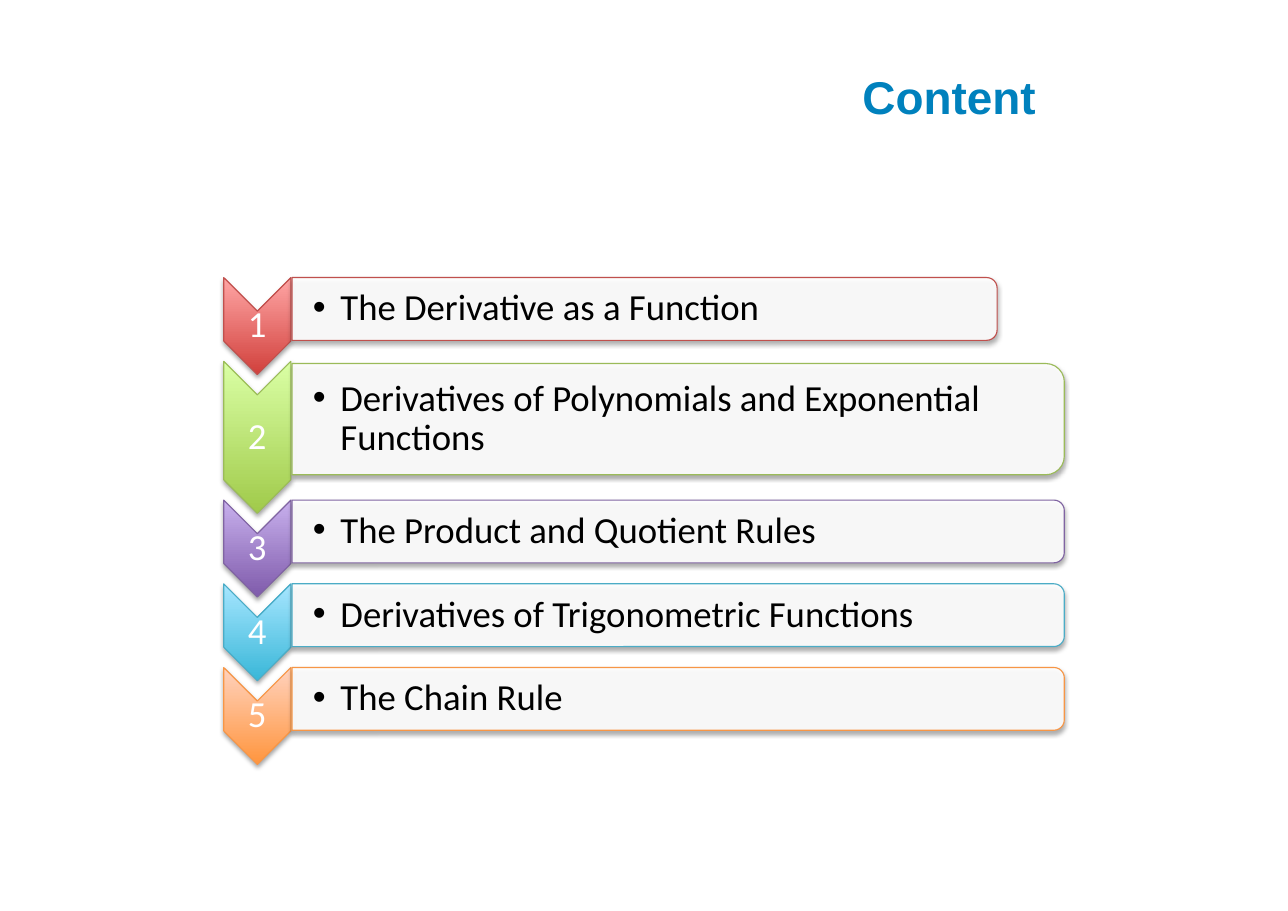
from dataclasses import dataclass

from lxml import etree
from pptx import Presentation
from pptx.dml.color import RGBColor
from pptx.enum.shapes import MSO_SHAPE
from pptx.enum.text import MSO_ANCHOR, PP_ALIGN
from pptx.oxml.ns import qn
from pptx.shapes.autoshape import Shape
from pptx.slide import Slide
from pptx.text.text import _Paragraph
from pptx.util import Pt

EMU_PER_PX = 9144  # 100 px to the inch
CHEVRON = MSO_SHAPE.CHEVRON
ROUNDED_BAR = MSO_SHAPE.ROUND_2_SAME_RECTANGLE
MIDDLE = MSO_ANCHOR.MIDDLE
LEFT, CENTER, RIGHT = PP_ALIGN.LEFT, PP_ALIGN.CENTER, PP_ALIGN.RIGHT

# Layout in px
SLIDE_WIDTH, SLIDE_HEIGHT = 1169, 827
LIST_TOP = 252
CHEVRON_LEFT, CHEVRON_WIDTH = 203, 61
CHEVRON_OVERLAP = 12
LABEL_INSET = 31
BAR_LEFT = CHEVRON_LEFT + CHEVRON_WIDTH + 1
BULLET_INDENT = 25


@dataclass(frozen=True)
class Theme:
    title_font: str = "Arial"
    body_font: str = "Calibri"
    title_size: int = 30
    body_size: int = 24
    line_width: float = 0.75
    title: str = "0081BD"
    text: str = "000000"
    label: str = "FFFFFF"
    bar: str = "FFFFFF"
    shadow: str = "000000"


@dataclass(frozen=True)
class Box:
    left: int
    top: int
    width: int
    height: int


@dataclass(frozen=True)
class Topic:
    text: str
    dark: str
    light: str
    line: str
    chevron_height: int = 88
    bar_offset: int = 0
    bar_width: int = 701
    bar_height: int = 57


THEME = Theme()
TOPICS = (
    Topic("The Derivative as a Function", "D1403C", "FFA6A5", "C0504D", bar_width=640),
    Topic("Derivatives of Polynomials and Exponential Functions",
          "A0CA4A", "DAFFA5", "9BBB59",
          chevron_height=138, bar_offset=2, bar_height=101),
    Topic("The Product and Quotient Rules", "7F5BAB", "C8B0ED", "8064A2"),
    Topic("Derivatives of Trigonometric Functions", "39B7D8", "A7E6FF", "4BACC6"),
    Topic("The Chain Rule", "FF953E", "FFD2BD", "F79646"),
)


def px(length: float) -> int:
    return round(length * EMU_PER_PX)


def rgb(color: str) -> RGBColor:
    return RGBColor.from_string(color)


def add_alpha(color_element: etree._Element, percent: int) -> None:
    etree.SubElement(color_element, qn("a:alpha"), val=str(percent * 1000))


def add_shadow(shape: Shape) -> None:
    shape.shadow.inherit = False
    effects = shape._element.spPr.find(qn("a:effectLst"))
    shadow = etree.SubElement(
        effects, qn("a:outerShdw"), blurRad=str(Pt(3.1)), dist=str(Pt(1.8)),
        dir="5400000", rotWithShape="0")
    add_alpha(etree.SubElement(shadow, qn("a:srgbClr"), val=THEME.shadow), 35)


def add_turned_shape(slide: Slide, kind: MSO_SHAPE, box: Box, line: str) -> Shape:
    """Add a shape turned by 90 degrees that covers the box once turned."""
    left = box.left + (box.width - box.height) / 2
    top = box.top + (box.height - box.width) / 2
    shape = slide.shapes.add_shape(
        kind, px(left), px(top), px(box.height), px(box.width))
    shape.rotation = 90
    shape.line.color.rgb = rgb(line)
    shape.line.width = Pt(THEME.line_width)
    add_shadow(shape)
    return shape


def add_text(slide: Slide, box: Box, text: str, font: str, size: int, color: str,
             align: PP_ALIGN, left_inset: int = 2, inset: int = 2,
             bold: bool = False) -> _Paragraph:
    text_box = slide.shapes.add_textbox(
        px(box.left), px(box.top), px(box.width), px(box.height))
    frame = text_box.text_frame
    frame.word_wrap = True
    frame.vertical_anchor = MIDDLE
    frame.margin_left = px(left_inset)
    frame.margin_right = frame.margin_top = frame.margin_bottom = px(inset)
    paragraph = frame.paragraphs[0]
    paragraph.alignment = align
    run = paragraph.add_run()
    run.text = text
    run.font.name = font
    run.font.size = Pt(size)
    run.font.bold = bold
    run.font.color.rgb = rgb(color)
    return paragraph


def add_bullet(paragraph: _Paragraph) -> None:
    properties = paragraph._p.get_or_add_pPr()
    properties.set("marL", str(px(BULLET_INDENT)))
    properties.set("indent", str(px(-BULLET_INDENT)))
    etree.SubElement(properties, qn("a:buFont"), typeface=THEME.title_font)
    etree.SubElement(properties, qn("a:buChar"), char="•")


def add_topic(slide: Slide, number: int, topic: Topic, top: int) -> None:
    # Numbered chevron
    chevron_box = Box(CHEVRON_LEFT, top, CHEVRON_WIDTH, topic.chevron_height)
    chevron = add_turned_shape(slide, CHEVRON, chevron_box, topic.line)
    chevron.fill.gradient()
    chevron.fill.gradient_angle = 90
    for stop, color in zip(chevron.fill.gradient_stops, (topic.dark, topic.light)):
        stop.color.rgb = rgb(color)
    chevron._element.spPr.find(qn("a:gradFill")).set("rotWithShape", "0")
    label_box = Box(CHEVRON_LEFT, top + LABEL_INSET, CHEVRON_WIDTH,
                    topic.chevron_height - 2 * LABEL_INSET)
    label = add_text(slide, label_box, str(number), THEME.body_font,
                     THEME.body_size, THEME.label, CENTER)
    label.line_spacing = 0.9

    # Bar with the topic
    bar_box = Box(BAR_LEFT, top + topic.bar_offset, topic.bar_width, topic.bar_height)
    bar = add_turned_shape(slide, ROUNDED_BAR, bar_box, topic.line)
    bar.fill.solid()
    bar.fill.fore_color.rgb = rgb(THEME.bar)
    add_alpha(bar._element.spPr.find(qn("a:solidFill")).find(qn("a:srgbClr")), 90)
    inset = round(topic.bar_height / 20)
    text_box = Box(BAR_LEFT, bar_box.top + inset, bar_box.width - inset,
                   bar_box.height - 2 * inset)
    paragraph = add_text(slide, text_box, topic.text, THEME.body_font,
                         THEME.body_size, THEME.text, LEFT, left_inset=19)
    paragraph.line_spacing = 0.9
    add_bullet(paragraph)


def main() -> None:
    presentation = Presentation()
    presentation.slide_width = px(SLIDE_WIDTH)
    presentation.slide_height = px(SLIDE_HEIGHT)
    slide = presentation.slides.add_slide(presentation.slide_layouts[6])

    # Title
    add_text(slide, Box(50, 25, 900, 125), "Content", THEME.title_font,
             THEME.title_size, THEME.title, RIGHT, left_inset=10, inset=10, bold=True)

    # Topic list
    top = LIST_TOP
    for number, topic in enumerate(TOPICS, start=1):
        add_topic(slide, number, topic, top)
        top += topic.chevron_height - CHEVRON_OVERLAP

    presentation.save("out.pptx")


if __name__ == "__main__":
    main()
